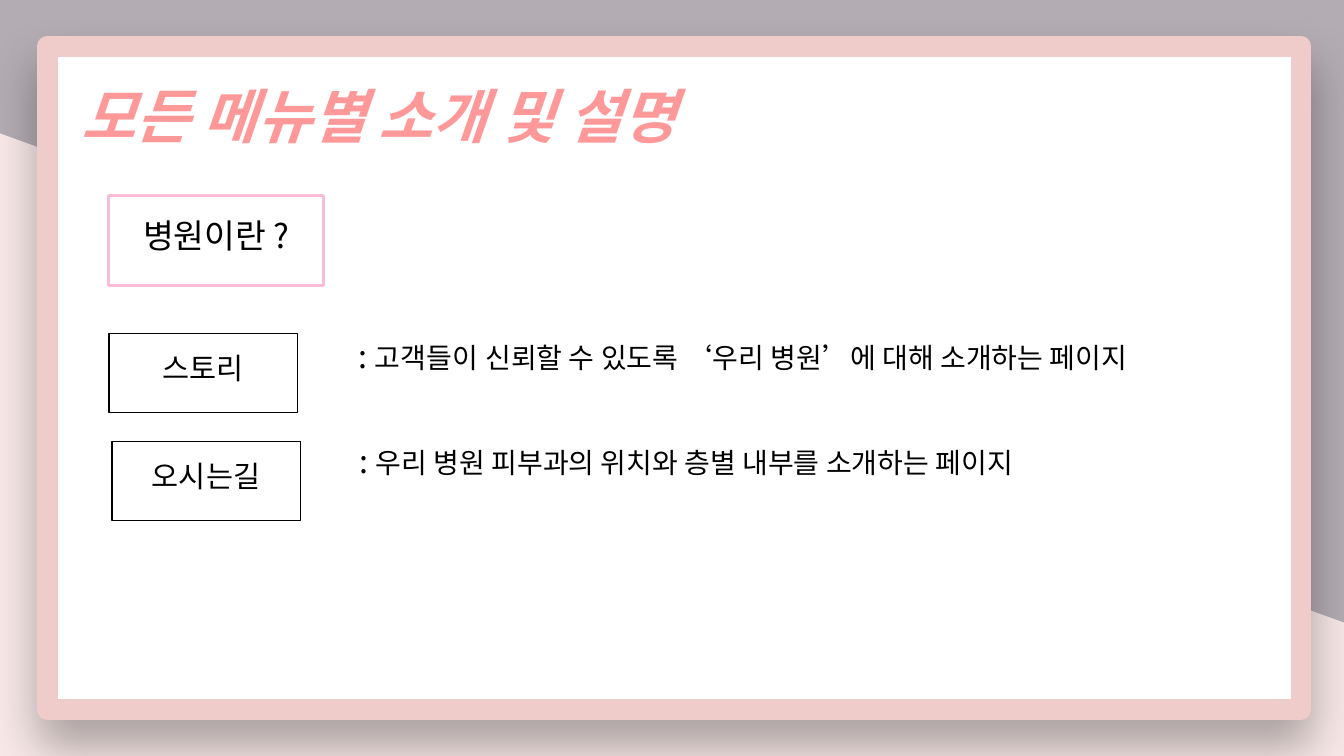
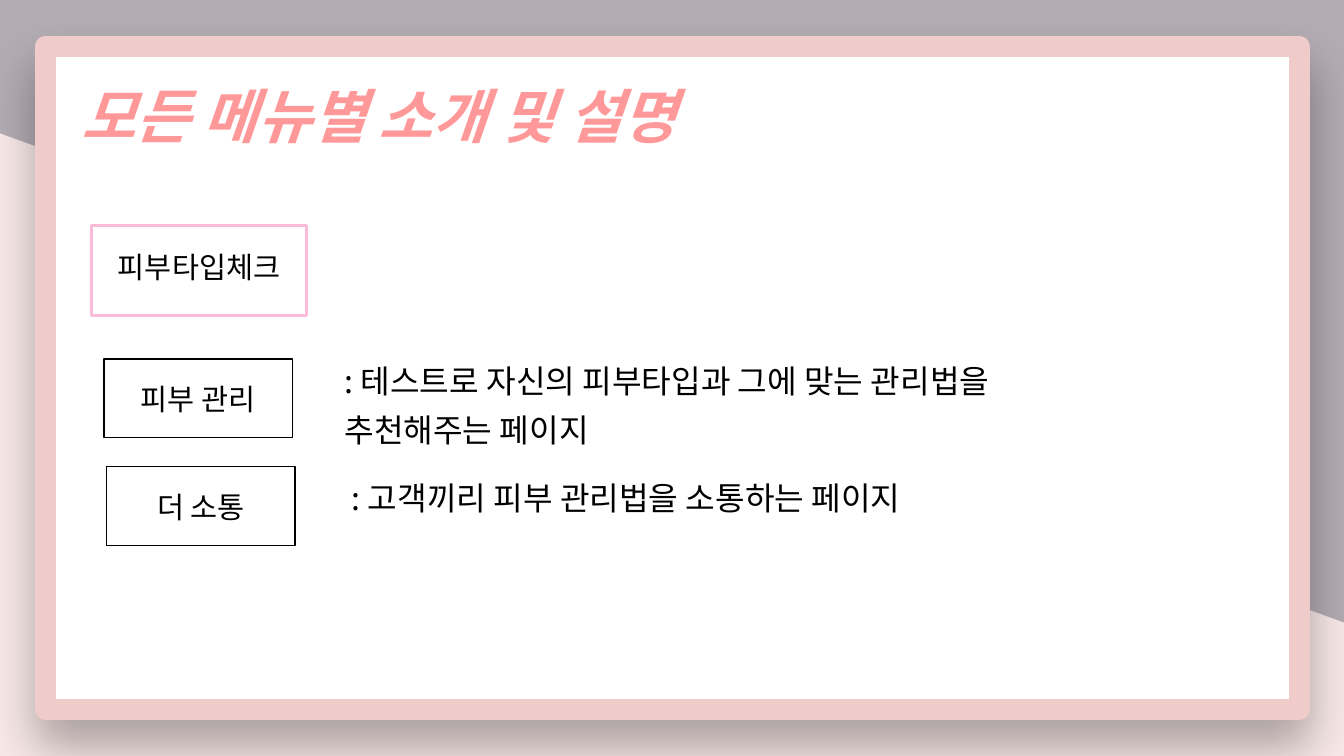
from lxml import etree
from pptx import Presentation
from pptx.dml.color import RGBColor
from pptx.enum.shapes import MSO_SHAPE
from pptx.enum.text import MSO_ANCHOR, PP_ALIGN
from pptx.oxml.ns import qn
from pptx.util import Pt

RECTANGLE = MSO_SHAPE.RECTANGLE
TOP = MSO_ANCHOR.TOP
LEFT, CENTER = PP_ALIGN.LEFT, PP_ALIGN.CENTER

MAUVE = RGBColor(0xB3, 0xAC, 0xB3)
BLUSH = RGBColor(0xF8, 0xE9, 0xE8)
FRAME_PINK = RGBColor(0xEF, 0xCB, 0xC9)
TITLE_PINK = RGBColor(0xFF, 0x99, 0x99)
MENU_PINK = RGBColor(0xFB, 0xBC, 0xD9)
WHITE = RGBColor(0xFF, 0xFF, 0xFF)
BLACK = RGBColor(0x00, 0x00, 0x00)

FONT = "Noto Sans CJK KR"
TITLE = "모든 메뉴별 소개 및 설명"
INSET = 3.6  # default top inset of a text box
ITEM_STEP = (2.1, 77.1)  # offset from one page box to the next


class MenuDeck:
    """Holds the deck style and the slide being built."""

    def __init__(self):
        self.prs = Presentation()
        self.prs.slide_width, self.prs.slide_height = Pt(960), Pt(540)
        self.slide = None

    def new_slide(self, frame_left):
        self.slide = self.prs.slides.add_slide(self.prs.slide_layouts[6])
        self.background()
        self.frame(frame_left)
        self.title()

    def background(self):
        # Two stops at the same place give a hard diagonal edge
        fill = self.slide.background.fill
        fill.gradient()
        fill.gradient_angle = 250
        for stop, color in zip(fill.gradient_stops, (MAUVE, BLUSH)):
            stop.color.rgb = color
            stop.position = 0.5

    def rectangle(self, left, top, width, height, line_color, line_width):
        box = self.slide.shapes.add_shape(
            RECTANGLE, Pt(left), Pt(top), Pt(width), Pt(height))
        box.shadow.inherit = False
        box.fill.background()
        box.line.color.rgb = line_color
        box.line.width = Pt(line_width)
        return box

    def frame(self, left):
        card = self.rectangle(left, 33.1, 895.7, 473.8, FRAME_PINK, 14.75)
        card.fill.solid()
        card.fill.fore_color.rgb = WHITE
        # Soft shadow straight below the card
        effects = card._element.spPr.find(qn("a:effectLst"))
        shadow = etree.SubElement(
            effects, qn("a:outerShdw"), blurRad=str(Pt(34)), dist=str(Pt(19)),
            dir="5400000", algn="t", rotWithShape="0")
        tint = etree.SubElement(shadow, qn("a:srgbClr"), val=str(BLACK))
        etree.SubElement(tint, qn("a:alpha"), val="31000")

    def style(self, run, size, color=BLACK, strong=None):
        font = run.font
        font.name, font.size = FONT, Pt(size)
        font.color.rgb = color
        font.bold = font.italic = strong
        etree.SubElement(run._r.get_or_add_rPr(), qn("a:ea"), typeface=FONT)

    def text_box(self, left, top, width, height):
        box = self.slide.shapes.add_textbox(
            Pt(left), Pt(top), Pt(width), Pt(height))
        box.text_frame.word_wrap = True
        return box.text_frame

    def title(self):
        frame = self.text_box(51.1, 53.3, 856.8, 56.9)
        frame.text = TITLE
        self.style(frame.paragraphs[0].runs[0], 42, TITLE_PINK, True)

    def label(self, box, text, size, drop, spacing):
        frame = box.text_frame
        frame.word_wrap = True
        frame.vertical_anchor = TOP
        frame.margin_left = frame.margin_right = frame.margin_bottom = 0
        frame.margin_top = Pt(drop + INSET)
        frame.text = text
        heading = frame.paragraphs[0]
        heading.alignment = CENTER
        heading.line_spacing = spacing
        self.style(heading.runs[0], size)

    def menu(self, text, left, top, size, drop, spacing):
        box = self.rectangle(left, top, 153.4, 64.1, MENU_PINK, 2)
        self.label(box, text, size, drop, spacing)

    def pages(self, names, left, top, drop):
        for row, name in enumerate(names):
            box = self.rectangle(left + row * ITEM_STEP[0],
                                 top + row * ITEM_STEP[1],
                                 134.6, 56.2, BLACK, 1)
            self.label(box, name, 21, drop, 0.8)

    def description(self, left, top, *lines):
        """Each line is a list of (text, size) pieces."""
        frame = self.text_box(left, top, 657, 61.2)
        for number, pieces in enumerate(lines):
            line = frame.add_paragraph() if number else frame.paragraphs[0]
            line.alignment = LEFT
            line.line_spacing = 0.9
            if number:
                line.space_before = Pt(10)
            for text, size in pieces:
                run = line.add_run()
                run.text = text
                self.style(run, size)


def main():
    deck = MenuDeck()

    # About the clinic
    deck.new_slide(33.8)
    deck.menu("병원이란 ?", 77.8, 139.7, 23.9, 18, 0.7)
    deck.pages(["스토리", "오시는길"], 77.8, 238.3, 13.3)
    deck.description(249.1, 239.8, [
        (": ", 23), ("고객들이", 20), (" ", 23),
        ("신뢰할 수 있도록 ‘우리 병원’에 대해 소개하는 페이지", 20)])
    deck.description(249.8, 314.6, [
        (": ", 23), ("우리 병원 피부과의 위치와 층별 내부를 소개하는 페이지", 20)])

    # Skin type check
    deck.new_slide(32.4)
    deck.menu("피부타입체크", 65.5, 161.3, 21, 15.8, 0.9)
    deck.pages(["피부 관리", "더 소통"], 74.2, 256.3, 17)
    deck.description(239, 257.8,
                     [(": 테스트로 자신의 피부타입과 그에 맞는 관리법을", 23)],
                     [("추천해주는 페이지", 23)])
    deck.description(244.1, 341.3,
                     [(": 고객끼리 피부 관리법을 소통하는 페이지", 23)])

    deck.prs.save("out.pptx")


if __name__ == "__main__":
    main()
